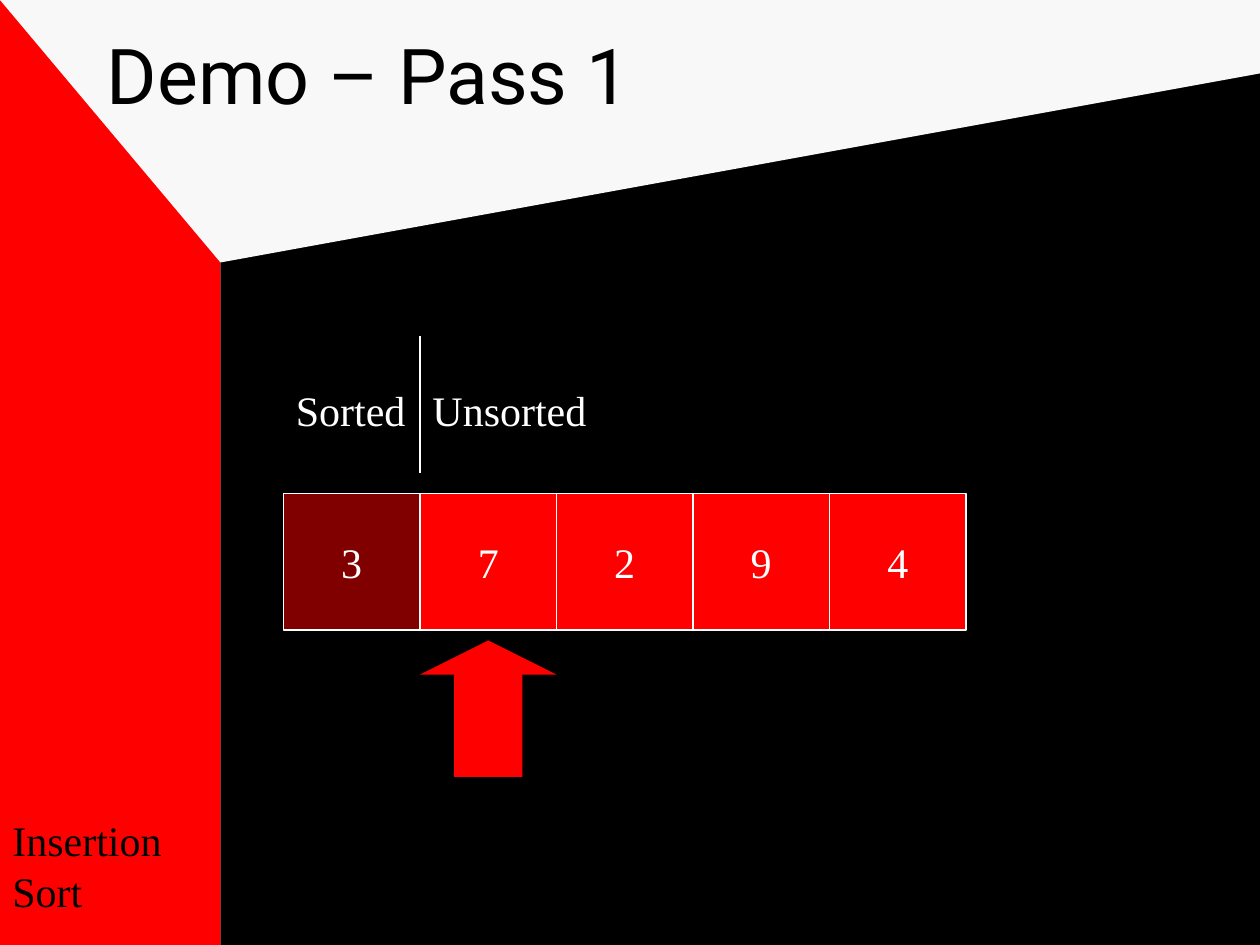
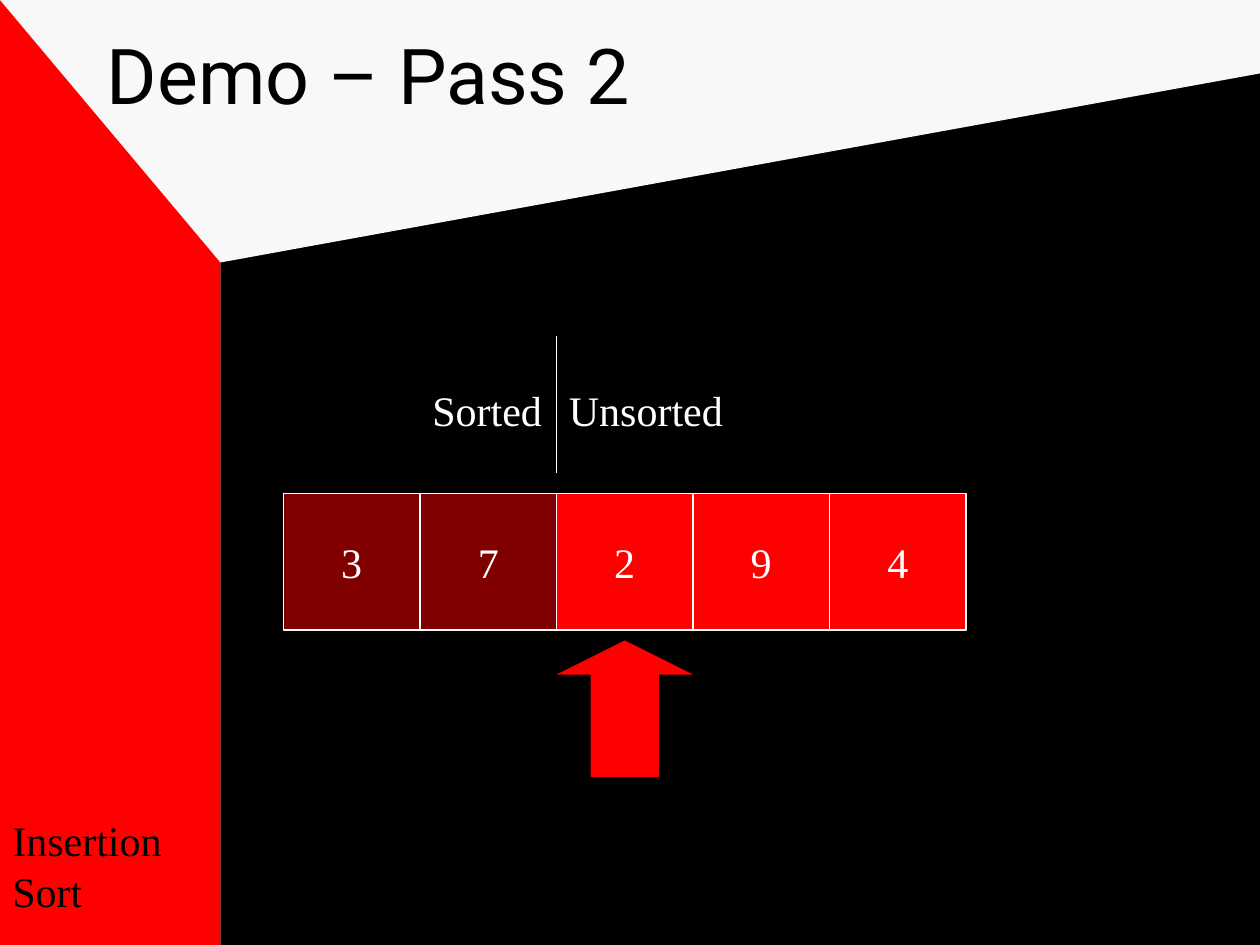
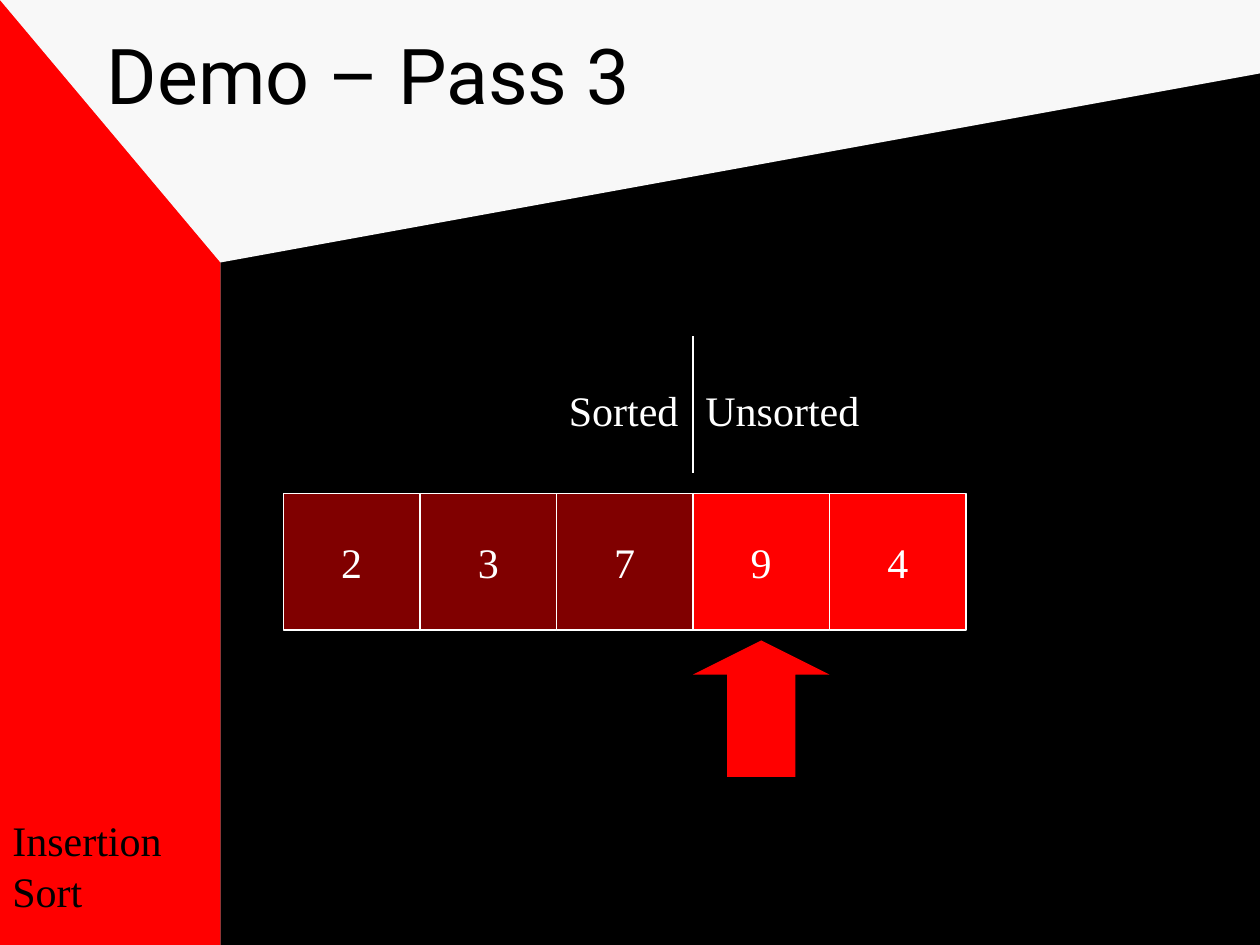
from lxml import etree
from pptx import Presentation
from pptx import util as u
from pptx.dml import color
from pptx.enum import shapes, text
from pptx.oxml import ns

WIDTH, HEIGHT = 720, 540
SIDE_WIDTH = 126
BLACK, WHITE, RED = "000000", "FFFFFF", "FF0000"
PAPER, GREY = "F8F8F8", "808080"
TITLE_FONT, BODY_FONT = "Roboto", "Times New Roman"

CELL = 78
ROW_LEFT, ROW_TOP = 162, 282
DIVIDER_TOP, LABEL_TOP, POINTER_TOP = 192, 216, 366

PASSES = [
    (1, [3, 7, 2, 9, 4]),
    (2, [3, 7, 2, 9, 4]),
    (3, [2, 3, 7, 9, 4]),
]


def rgb(value):
    return color.RGBColor.from_string(value)


def paint(shape, fill, line=None, opacity=None):
    shape.shadow.inherit = False
    shape.fill.solid()
    shape.fill.fore_color.rgb = rgb(fill)
    if opacity is not None:
        tint = shape.fill._xPr.find(".//" + ns.qn("a:srgbClr"))
        etree.SubElement(tint, ns.qn("a:alpha"), val=str(opacity * 1000))
    if line:
        shape.line.color.rgb = rgb(line)
        shape.line.width = u.Pt(0.75)
    else:
        shape.line.fill.background()


def add_block(page, kind, left, top, width, height, fill, line=None, opacity=None):
    block = page.shapes.add_shape(
        kind, u.Pt(left), u.Pt(top), u.Pt(width), u.Pt(height)
    )
    paint(block, fill, line, opacity)
    return block


def add_run(para, words, size, font, ink):
    span = para.add_run()
    span.text = words
    span.font.size = u.Pt(size)
    span.font.name = font
    span.font.color.rgb = rgb(ink)


def add_text(page, lines, left, top, width, height, size=24, font=BODY_FONT, ink=WHITE):
    box = page.shapes.add_textbox(u.Pt(left), u.Pt(top), u.Pt(width), u.Pt(height))
    box.text_frame.word_wrap = True
    para = box.text_frame.paragraphs[0]
    for index, words in enumerate(lines):
        if index:
            para.add_line_break()
        add_run(para, words, size, font, ink)


def add_backdrop(page):
    page.background.fill.solid()
    page.background.fill.fore_color.rgb = rgb(GREY)
    rectangle = shapes.MSO_SHAPE.RECTANGLE
    add_block(page, rectangle, SIDE_WIDTH, 0, WIDTH - SIDE_WIDTH, HEIGHT, BLACK)
    add_block(page, rectangle, 0, 0, SIDE_WIDTH, HEIGHT, RED)
    outline = page.shapes.build_freeform(0, 0, scale=u.Pt(1))
    outline.add_line_segments([(SIDE_WIDTH, 150), (WIDTH, 42), (WIDTH, 0)], close=True)
    paint(outline.convert_to_shape(), PAPER)
    add_text(page, ["Insertion", "Sort"], 0, 462, SIDE_WIDTH, 65, ink=BLACK)


def add_cell(page, left, number, is_sorted):
    cell = add_block(
        page, shapes.MSO_SHAPE.RECTANGLE, left, ROW_TOP, CELL, CELL,
        RED, WHITE, 50 if is_sorted else None,
    )
    frame = cell.text_frame
    frame.word_wrap = False
    frame.vertical_anchor = text.MSO_ANCHOR.MIDDLE
    para = frame.paragraphs[0]
    para.alignment = text.PP_ALIGN.CENTER
    add_run(para, str(number), 24, BODY_FONT, WHITE)


def add_divider(page, left):
    divider = page.shapes.add_connector(
        shapes.MSO_CONNECTOR.STRAIGHT,
        u.Pt(left), u.Pt(DIVIDER_TOP + CELL), u.Pt(left), u.Pt(DIVIDER_TOP),
    )
    divider.line.color.rgb = rgb(WHITE)
    divider.line.width = u.Pt(0.75)
    etree.SubElement(divider._element.spPr, ns.qn("a:effectLst"))


def add_pointer(page, left):
    pointer = add_block(
        page, shapes.MSO_SHAPE.UP_ARROW, left, POINTER_TOP, CELL, CELL, RED
    )
    pointer.adjustments[0] = 0.5
    pointer.adjustments[1] = 0.25


def add_pass(deck, sorted_count, numbers):
    page = deck.slides.add_slide(deck.slide_layouts[6])
    add_backdrop(page)
    add_text(page, [f"Demo – Pass {sorted_count}"], 54, 12, 612, 90, 44, TITLE_FONT, BLACK)
    for index, number in enumerate(numbers):
        add_cell(page, ROW_LEFT + index * CELL, number, index < sorted_count)
    boundary = ROW_LEFT + sorted_count * CELL
    add_divider(page, boundary)
    add_text(page, ["Unsorted"], boundary, LABEL_TOP, 120, 36)
    add_text(page, ["Sorted"], boundary - CELL, LABEL_TOP, 96, 36)
    add_pointer(page, boundary)


def main():
    deck = Presentation()
    deck.slide_width, deck.slide_height = u.Pt(WIDTH), u.Pt(HEIGHT)
    for sorted_count, numbers in PASSES:
        add_pass(deck, sorted_count, numbers)
    deck.save("out.pptx")


if __name__ == "__main__":
    main()
